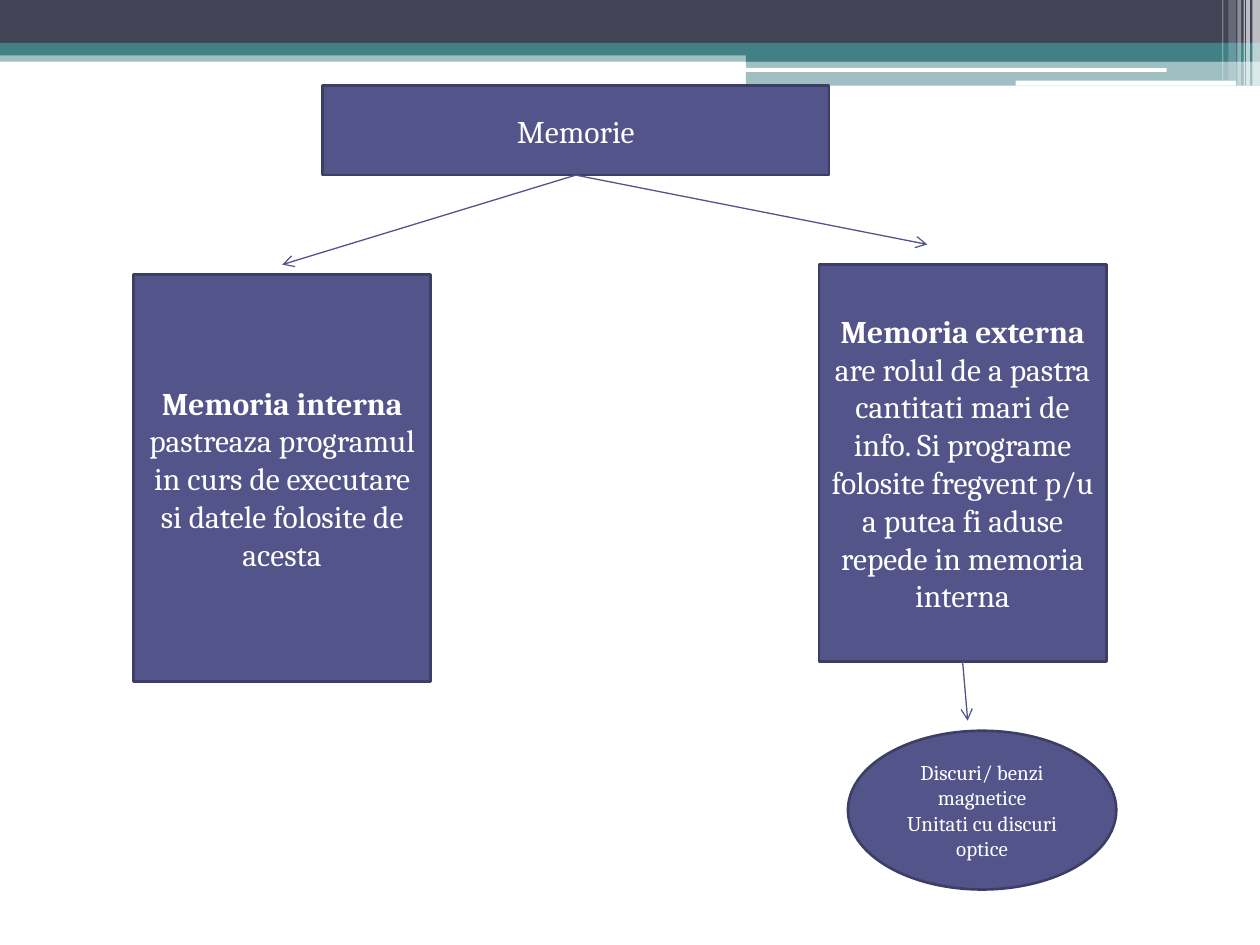
from dataclasses import dataclass

from lxml import etree
from pptx import Presentation
from pptx import util as u
from pptx.dml.color import RGBColor
from pptx.enum import shapes, text
from pptx.oxml import ns


@dataclass(frozen=True)
class Theme:
    """Colours, font and type sizes."""
    dark: str = "424456"
    teal: str = "438086"
    white: str = "FFFFFF"
    box: str = "53548A"
    edge: str = "3D3E66"
    font: str = "Cambria"
    body: int = 18
    small: int = 12


class Deck:
    """Draws on one slide with a grid of 100 columns by 75 rows."""

    def __init__(self, theme):
        self.theme = theme
        self.prs = Presentation()
        self.prs.slide_width, self.prs.slide_height = u.Inches(10), u.Inches(7.5)
        self.col, self.row = self.prs.slide_width / 100, self.prs.slide_height / 75
        self.slide = self.prs.slides.add_slide(self.prs.slide_layouts[6])

    def spot(self, x, y):
        """Turn columns and rows into lengths."""
        return u.Emu(round(x * self.col)), u.Emu(round(y * self.row))

    def shape(self, kind, area, fill):
        """Add a filled shape without a line."""
        x, y, w, h = area
        item = self.slide.shapes.add_shape(kind, *self.spot(x, y), *self.spot(w, h))
        item.shadow.inherit = False
        item.fill.solid()
        item.fill.fore_color.rgb = RGBColor.from_string(fill)
        item.line.fill.background()
        return item

    def band(self, area, fill, share=100, soft=False):
        """Add a bar, see-through if its share of ink is below 100."""
        kinds = shapes.MSO_SHAPE
        bar = self.shape(kinds.ROUNDED_RECTANGLE if soft else kinds.RECTANGLE, area, fill)
        if share < 100:
            tint = bar.fill._xPr.find(".//" + ns.qn("a:srgbClr"))
            etree.SubElement(tint, ns.qn("a:alpha"), val=str(share * 1000))

    def node(self, area, lines, size, kind=shapes.MSO_SHAPE.RECTANGLE):
        """Add an outlined shape; each line is a bold part and a plain part."""
        item = self.shape(kind, area, self.theme.box)
        item.line.color.rgb = RGBColor.from_string(self.theme.edge)
        item.line.width = u.Pt(1.5)
        frame = item.text_frame
        frame.word_wrap = True
        frame.vertical_anchor = text.MSO_ANCHOR.MIDDLE
        for i, (bold, plain) in enumerate(lines):
            para = frame.add_paragraph() if i else frame.paragraphs[0]
            para.alignment = text.PP_ALIGN.CENTER
            para.font.name, para.font.size = self.theme.font, u.Pt(size)
            para.font.color.rgb = RGBColor.from_string(self.theme.white)
            if bold:
                head = para.add_run()
                head.text, head.font.bold = bold, True
            para.add_run().text = plain
        return item

    def arrow(self, node, x, y):
        """Point from the bottom of a node to a place."""
        end = self.spot(x, y)
        line = self.slide.shapes.add_connector(shapes.MSO_CONNECTOR.STRAIGHT, *end, *end)
        line.begin_connect(node, 2)
        line.line.color.rgb = RGBColor.from_string(self.theme.box)
        line.line.width = u.Pt(0.75)
        etree.SubElement(line.line._get_or_add_ln(), ns.qn("a:tailEnd"), type="arrow")
        etree.SubElement(line._element.spPr, ns.qn("a:effectLst"))


def main():
    """Build the slide on kinds of memory."""
    look = Theme()
    deck = Deck(look)

    for area, fill, share in (
        ((0, 4, 100, 0.9), look.teal, 50),
        ((0, 0, 100, 3.4), look.dark, 100),
        ((0, 3.4, 100, 1), look.teal, 100),
        ((59.2, 3.9, 40.8, 1), look.teal, 100),
        ((59.2, 4.8, 40.8, 2), look.teal, 50),
    ):
        deck.band(area, fill, share)
    for area in (59.1, 5.4, 33.5, 0.3), (80.6, 6.4, 17.5, 0.4):
        deck.band(area, look.white, soft=True)
    for x, wide, tall, share in (
        (99.4, 0.6, 6.8, 65), (98.9, 0.3, 6.8, 65), (98.7, 0.1, 6.8, 60),
        (98.2, 0.3, 6.8, 40), (97.5, 0.6, 6.4, 20), (97, 0.1, 6.4, 30),
    ):
        deck.band((x, 0, wide, tall), look.white, share)

    root = deck.node((25.6, 6.8, 40.2, 7.1), [("", "Memorie")], look.body)
    deck.arrow(root, 73.6, 19.4)
    deck.arrow(root, 22.4, 21)
    deck.node((10.6, 21.8, 23.6, 32.3), [(
        "Memoria interna ",
        "pastreaza programul in curs de executare si datele folosite de acesta",
    )], look.body)
    outer = deck.node((65, 21, 22.8, 31.5), [(
        "Memoria externa ",
        "are rolul de a pastra cantitati mari de info. Si programe folosite "
        "fregvent p/u a putea fi aduse repede in memoria interna",
    )], look.body)
    deck.arrow(outer, 76.8, 57.2)
    deck.node((67.3, 58, 21.3, 12.6), [
        ("", "Discuri/ benzi magnetice"), ("", "Unitati cu discuri optice"),
    ], look.small, shapes.MSO_SHAPE.OVAL)

    deck.prs.save("out.pptx")


if __name__ == "__main__":
    main()
